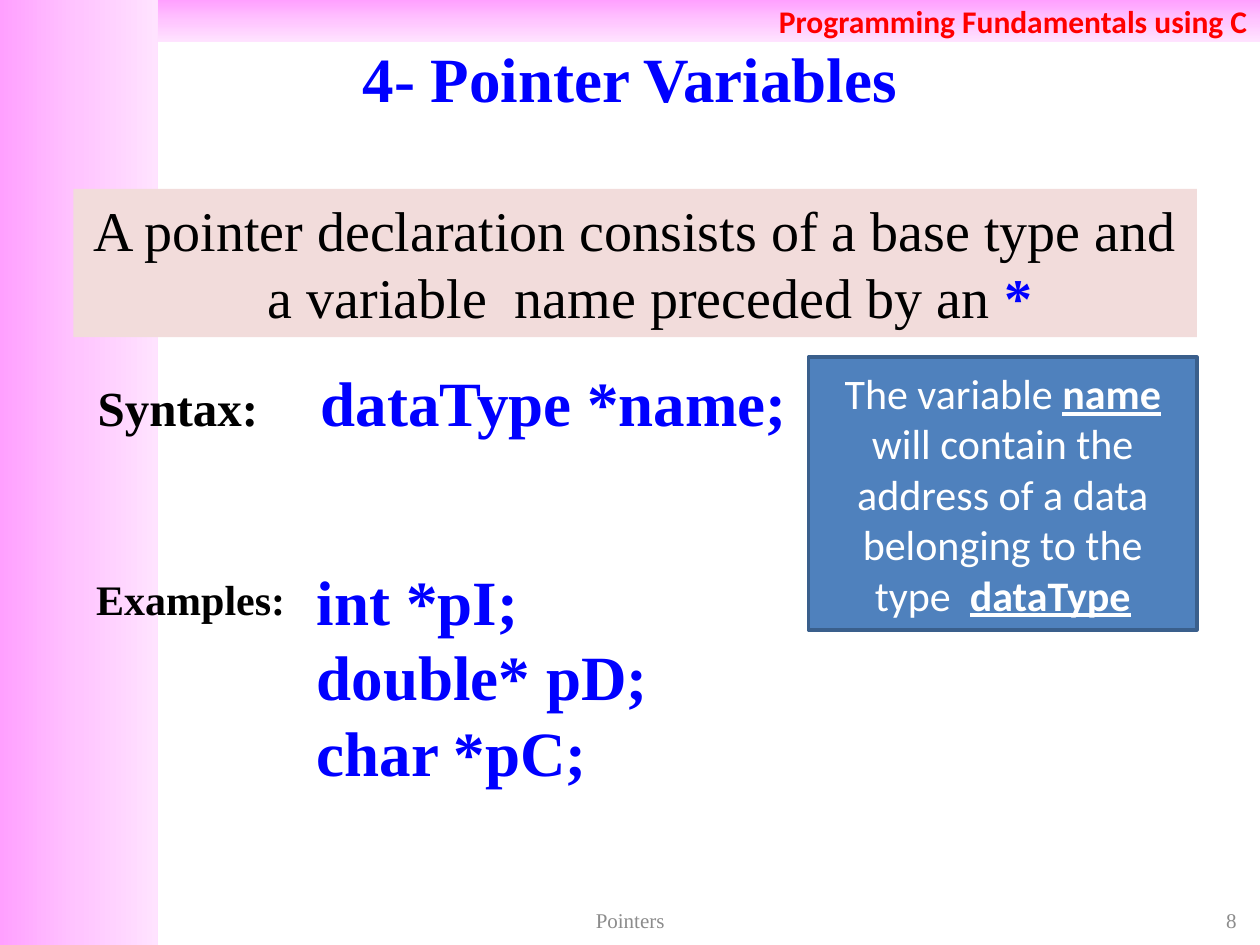
from copy import deepcopy

from pptx import Presentation
from pptx.dml.color import RGBColor
from pptx.enum import shapes, text
from pptx.oxml import parse_xml
from pptx.oxml.ns import nsdecls, qn
from pptx.util import Cm, Pt

WHITE = RGBColor(255, 255, 255)
BLACK = RGBColor(0, 0, 0)
BLUE = RGBColor(0, 0, 255)
RED = RGBColor(255, 0, 0)
GRAY = RGBColor(0x8C, 0x8C, 0x8C)
ROSE = RGBColor(0xF2, 0xDC, 0xDB)
STEEL = RGBColor(0x4F, 0x81, 0xBD)
EDGE = RGBColor(0x3A, 0x5F, 0x8C)
PINKS = [RGBColor(0xFF, g, 0xFF) for g in (0xA0, 0xC5, 0xE3)]
SERIF, SANS = "Times New Roman", "Calibri"
LEFT, CENTER, RIGHT = (text.PP_ALIGN.LEFT, text.PP_ALIGN.CENTER,
                       text.PP_ALIGN.RIGHT)
TOP, MIDDLE = text.MSO_ANCHOR.TOP, text.MSO_ANCHOR.MIDDLE


def write(shape, lines, size, color, font=SERIF, bold=False, align=LEFT,
          anchor=TOP, wrap=True):
    """Fill a shape with lines; each line is a list of (words, own format)."""
    frame = shape.text_frame
    frame.word_wrap = wrap
    frame.auto_size = text.MSO_AUTO_SIZE.NONE
    frame.vertical_anchor = anchor
    for i, line in enumerate(lines):
        para = frame.paragraphs[0] if i == 0 else frame.add_paragraph()
        para.alignment = align
        for words, own in line:
            run = para.add_run()
            run.text = words
            run.font.name = font
            run.font.size = Pt(own.get("size", size))
            run.font.bold = own.get("bold", bold)
            run.font.underline = own.get("under", False)
            run.font.color.rgb = own.get("color", color)
    return frame


def block(slide, box, fill=None, line=None):
    rect = slide.shapes.add_shape(shapes.MSO_SHAPE.RECTANGLE, *map(Cm, box))
    rect.shadow.inherit = False
    if fill is not None:
        rect.fill.solid()
        rect.fill.fore_color.rgb = fill
    if line is None:
        rect.line.fill.background()
    else:
        rect.line.color.rgb = line
        rect.line.width = Pt(2)
    return rect


def label(slide, box, lines, size, color, **style):
    area = slide.shapes.add_textbox(*map(Cm, box))
    return write(area, lines, size, color, **style)


def band(slide, box, angle):
    """Place a rectangle with a three-step pink gradient."""
    rect = block(slide, box)
    rect.fill.gradient()
    rect.fill.gradient_angle = angle
    stops = rect._element.spPr.find(qn("a:gradFill")).find(qn("a:gsLst"))
    stops.insert(1, deepcopy(stops[0]))
    for i, (stop, pink) in enumerate(zip(rect.fill.gradient_stops, PINKS)):
        stop.position = i / 2
        stop.color.rgb = pink
    return rect


def frame(slide, side, width, height, strip):
    """Draw the side band and the course strip along the top."""
    band(slide, (0, 0, side, height), 0)
    top = band(slide, (side, 0, width - side, strip), 270)
    write(top, [[("Programming Fundamentals using C", {})]], 18, RED,
          font=SANS, bold=True, align=RIGHT, anchor=MIDDLE)


def heading(slide, box):
    title = slide.shapes.title
    title.left, title.top, title.width, title.height = map(Cm, box)
    write(title, [[("4- Pointer Variables", {})]], 36, BLUE, bold=True,
          align=CENTER, anchor=MIDDLE)
    slide.shapes._spTree.append(title._element)


def rule(slide, box):
    rect = block(slide, box, ROSE)
    words = ("A pointer declaration consists of a base type and "
             "a variable  name preceded by an ")
    body = write(rect, [[(words, {}), ("*", {"color": BLUE, "bold": True})]],
                 32, BLACK, align=CENTER)
    props = body.paragraphs[0]._p.get_or_add_pPr()
    props.set("marL", str(Cm(0.6)))
    props.set("indent", str(Cm(-0.6)))


def syntax(slide, box, tab):
    line = [("Syntax:\t", {"size": 28, "color": BLACK}),
            ("dataType *name;", {})]
    body = label(slide, box, [line], 36, BLUE, bold=True)
    props = body.paragraphs[0]._p.get_or_add_pPr()
    props.append(parse_xml(f'<a:tabLst {nsdecls("a")}>'
                           f'<a:tab pos="{Cm(tab)}" algn="l"/></a:tabLst>'))


def samples(slide, box, gap):
    """Place the caption, and the declarations to its right."""
    x, y, w, h = box
    label(slide, (x, y + 0.22, gap, 1.27), [[("Examples:", {})]], 24, BLACK,
          bold=True, wrap=False)
    codes = ["int *pI;", "double* pD;", "char *pC;"]
    label(slide, (x + gap, y, w - gap, h), [[(code, {})] for code in codes],
          36, BLUE, bold=True)


def note(slide, box):
    rect = block(slide, box, STEEL, EDGE)
    key = {"bold": True, "under": True}
    line = [("The variable ", {}), ("name", key),
            (" will contain the address of a data belonging to the type  ", {}),
            ("dataType", key)]
    write(rect, [line], 24, WHITE, font=SANS, align=CENTER, anchor=MIDDLE)


def footer(slide, box):
    x, y, w, h = box
    label(slide, (x, y, 8.05, h), [[("Pointers", {})]], 12, GRAY,
          align=CENTER, anchor=MIDDLE)
    label(slide, (x + w - 5.92, y, 5.92, h), [[("8", {})]], 12, GRAY,
          align=RIGHT, anchor=MIDDLE)


def main():
    deck = Presentation()
    width, height = 25.4, 19.05
    deck.slide_width, deck.slide_height = Cm(width), Cm(height)
    slide = deck.slides.add_slide(deck.slide_layouts[5])
    frame(slide, 3.18, width, height, 0.85)
    heading(slide, (0, 0.77, width, 1.57))
    rule(slide, (1.48, 3.81, 22.65, 2.99))
    syntax(slide, (1.72, 7.2, 14.58, 1.8), 4.5)
    samples(slide, (1.69, 11.21, 15.25, 4.87), 4.45)
    note(slide, (16.3, 7.2, 7.83, 5.5))
    footer(slide, (8.68, 18.2, 16.5, 0.68))
    deck.save("out.pptx")


if __name__ == "__main__":
    main()
